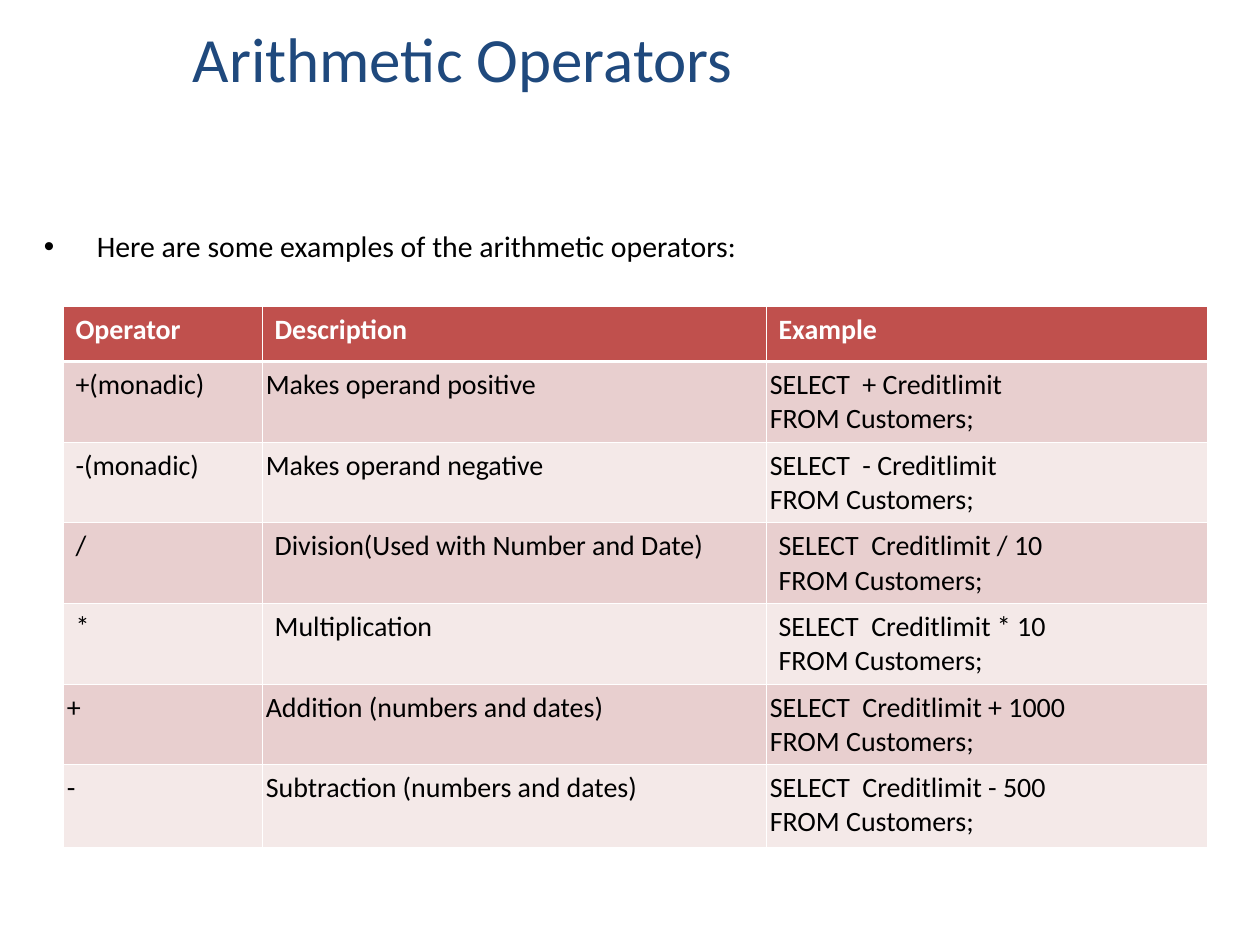
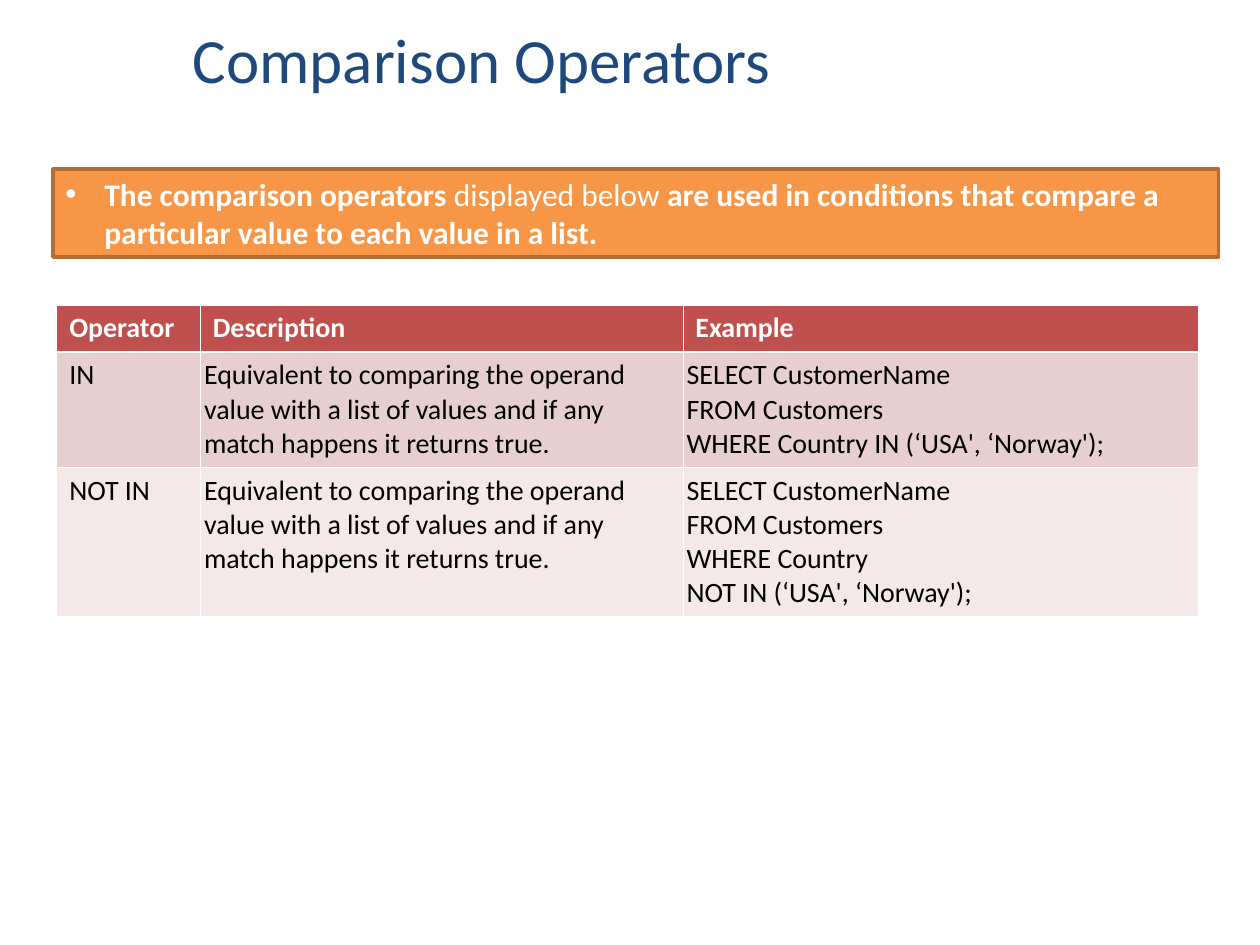
from dataclasses import dataclass

import pptx
import pptx.dml.color
import pptx.enum.shapes
import pptx.enum.text
import pptx.oxml
import pptx.oxml.ns
import pptx.util
from pptx.util import Inches


@dataclass(frozen=True)
class Theme:
    font: str = "Calibri"
    title_color: str = "1F497D"
    text: str = "000000"
    white: str = "FFFFFF"
    header: str = "C0504D"
    bands: tuple[str, str] = ("E8CFCF", "F4E9E8")
    callout: str = "F79646"
    callout_line: str = "B46D33"
    title_size: float = 36
    intro_size: float = 17
    callout_size: float = 18
    table_size: float = 16
    thin_border: float = 0.45
    thick_border: float = 1.47
    wide_margin: float = 0.1
    narrow_margin: float = 0.03


@dataclass(frozen=True)
class Box:
    left: float
    top: float
    width: float
    height: float

    def lengths(self) -> tuple[int, ...]:
        return tuple(Inches(value) for value in (self.left, self.top, self.width, self.height))


@dataclass(frozen=True)
class OperatorRow:
    operator: str
    description: str
    example: str
    narrow_from: int = 1


@dataclass(frozen=True)
class OperatorTable:
    left: float
    top: float
    widths: tuple[float, ...]
    heights: tuple[float, ...]
    rows: tuple[OperatorRow, ...]


THEME = Theme()
COLUMN_COUNT = 3
HEADER = OperatorRow("Operator", "Description", "Example", COLUMN_COUNT)
LIST_MATCH = (
    "Equivalent to comparing the operand value with a list of values "
    "and if any match happens it returns true."
)

ARITHMETIC = OperatorTable(
    0.5, 2.43, (1.58, 4, 3.5), (0.44, *[0.64] * 5, 0.66),
    (
        OperatorRow("+(monadic)", "Makes operand positive",
                    "SELECT  + Creditlimit\nFROM Customers;"),
        OperatorRow("-(monadic)", "Makes operand negative",
                    "SELECT  - Creditlimit\nFROM Customers;"),
        OperatorRow("/", "Division(Used with Number and Date)",
                    "SELECT  Creditlimit / 10\nFROM Customers;", COLUMN_COUNT),
        OperatorRow("*", "Multiplication",
                    "SELECT  Creditlimit * 10\nFROM Customers;", COLUMN_COUNT),
        OperatorRow("+", "Addition (numbers and dates)",
                    "SELECT  Creditlimit + 1000\nFROM Customers;", 0),
        OperatorRow("-", "Subtraction (numbers and dates)",
                    "SELECT  Creditlimit - 500\nFROM Customers;", 0),
    ),
)

COMPARISON = OperatorTable(
    0.45, 2.42, (1.14, 3.83, 4.09), (0.37, 0.86, 1.13),
    (
        OperatorRow("IN", LIST_MATCH,
                    "SELECT CustomerName\nFROM Customers\n"
                    "WHERE Country IN (‘USA', ‘Norway');"),
        OperatorRow("NOT IN", LIST_MATCH,
                    "SELECT CustomerName\nFROM Customers\n"
                    "WHERE Country\nNOT IN (‘USA', ‘Norway');"),
    ),
)


def rgb(color: str) -> pptx.dml.color.RGBColor:
    return pptx.dml.color.RGBColor.from_string(color)


def format_run(run, size: float, color: str, bold: bool = False) -> None:
    run.font.name = THEME.font
    run.font.size = pptx.util.Pt(size)
    run.font.color.rgb = rgb(color)
    run.font.bold = bold


def format_text(text_frame, size: float, color: str, bold: bool = False) -> None:
    for paragraph in text_frame.paragraphs:
        paragraph.alignment = pptx.enum.text.PP_ALIGN.LEFT
        for run in paragraph.runs:
            format_run(run, size, color, bold)


def add_bullet(paragraph, indent: float, color: str) -> None:
    properties = paragraph._p.get_or_add_pPr()
    properties.set("marL", str(Inches(indent)))
    properties.set("indent", str(-Inches(indent)))
    namespace = pptx.oxml.ns.nsdecls("a")
    for xml in (
        f'<a:buClr {namespace}><a:srgbClr val="{color}"/></a:buClr>',
        f'<a:buFont {namespace} typeface="Arial"/>',
        f'<a:buChar {namespace} char="•"/>',
    ):
        properties.append(pptx.oxml.parse_xml(xml))


def set_borders(cell, top: float, bottom: float) -> None:
    properties = cell._tc.get_or_add_tcPr()
    widths = {"L": THEME.thin_border, "R": THEME.thin_border, "T": top, "B": bottom}
    for index, (side, width) in enumerate(widths.items()):
        properties.insert(index, pptx.oxml.parse_xml(
            f'<a:ln{side} {pptx.oxml.ns.nsdecls("a")} w="{pptx.util.Pt(width)}">'
            f'<a:solidFill><a:srgbClr val="{THEME.white}"/></a:solidFill></a:ln{side}>'
        ))


def add_title_slide(presentation, title: str, box: Box):
    slide = presentation.slides.add_slide(presentation.slide_layouts[5])
    shape = slide.shapes.title
    shape.left, shape.top, shape.width, shape.height = box.lengths()
    shape.text_frame.text = title
    shape.text_frame.vertical_anchor = pptx.enum.text.MSO_ANCHOR.MIDDLE
    format_text(shape.text_frame, THEME.title_size, THEME.title_color)
    return slide


def add_operator_table(slide, layout: OperatorTable) -> None:
    rows = (HEADER, *layout.rows)
    box = Box(layout.left, layout.top, sum(layout.widths), sum(layout.heights))
    table = slide.shapes.add_table(len(rows), COLUMN_COUNT, *box.lengths()).table
    table.horz_banding = False
    for column, width in zip(table.columns, layout.widths):
        column.width = Inches(width)
    for row_index, (row, height) in enumerate(zip(rows, layout.heights)):
        table.rows[row_index].height = Inches(height)
        is_header = row_index == 0
        fill = THEME.header if is_header else THEME.bands[(row_index - 1) % 2]
        top = THEME.thick_border if row_index == 1 else THEME.thin_border
        bottom = THEME.thick_border if is_header else THEME.thin_border
        for column_index, text in enumerate((row.operator, row.description, row.example)):
            cell = table.cell(row_index, column_index)
            narrow = column_index >= row.narrow_from
            margin = Inches(THEME.narrow_margin if narrow else THEME.wide_margin)
            cell.margin_left = cell.margin_right = margin
            cell.text_frame.text = text
            format_text(cell.text_frame, THEME.table_size,
                        THEME.white if is_header else THEME.text, is_header)
            cell.fill.solid()
            cell.fill.fore_color.rgb = rgb(fill)
            set_borders(cell, top, bottom)


def add_intro(slide, text: str, box: Box) -> None:
    text_frame = slide.shapes.add_textbox(*box.lengths()).text_frame
    text_frame.word_wrap = True
    text_frame.text = text
    add_bullet(text_frame.paragraphs[0], 0.42, THEME.text)
    format_text(text_frame, THEME.intro_size, THEME.text)


def add_callout(slide, parts: tuple[tuple[str, bool], ...], box: Box) -> None:
    shape = slide.shapes.add_shape(
        pptx.enum.shapes.MSO_SHAPE.RECTANGLE, *box.lengths())
    shape.shadow.inherit = False
    shape.fill.solid()
    shape.fill.fore_color.rgb = rgb(THEME.callout)
    shape.line.color.rgb = rgb(THEME.callout_line)
    shape.line.width = pptx.util.Pt(2)
    shape.text_frame.word_wrap = True
    shape.text_frame.vertical_anchor = pptx.enum.text.MSO_ANCHOR.TOP
    paragraph = shape.text_frame.paragraphs[0]
    paragraph.alignment = pptx.enum.text.PP_ALIGN.LEFT
    add_bullet(paragraph, 0.31, THEME.white)
    for text, bold in parts:
        run = paragraph.add_run()
        run.text = text
        format_run(run, THEME.callout_size, THEME.white, bold)


def main() -> None:
    presentation = pptx.Presentation()
    presentation.slide_width, presentation.slide_height = Inches(10), Inches(7.5)

    slide = add_title_slide(presentation, "Arithmetic Operators", Box(1.43, -0.17, 9.07, 1.25))
    add_intro(slide, "Here are some examples of the arithmetic operators:",
              Box(0.25, 1.76, 9.5, 0.41))
    add_operator_table(slide, ARITHMETIC)

    slide = add_title_slide(presentation, "Comparison Operators", Box(1.43, 0, 8.57, 0.92))
    add_callout(slide, (
        ("The comparison operators ", True),
        ("displayed below", False),
        (" are used in conditions that compare a particular value "
         "to each value in a list.", True),
    ), Box(0.42, 1.34, 9.25, 0.7))
    add_operator_table(slide, COMPARISON)

    presentation.save("out.pptx")


if __name__ == "__main__":
    main()
